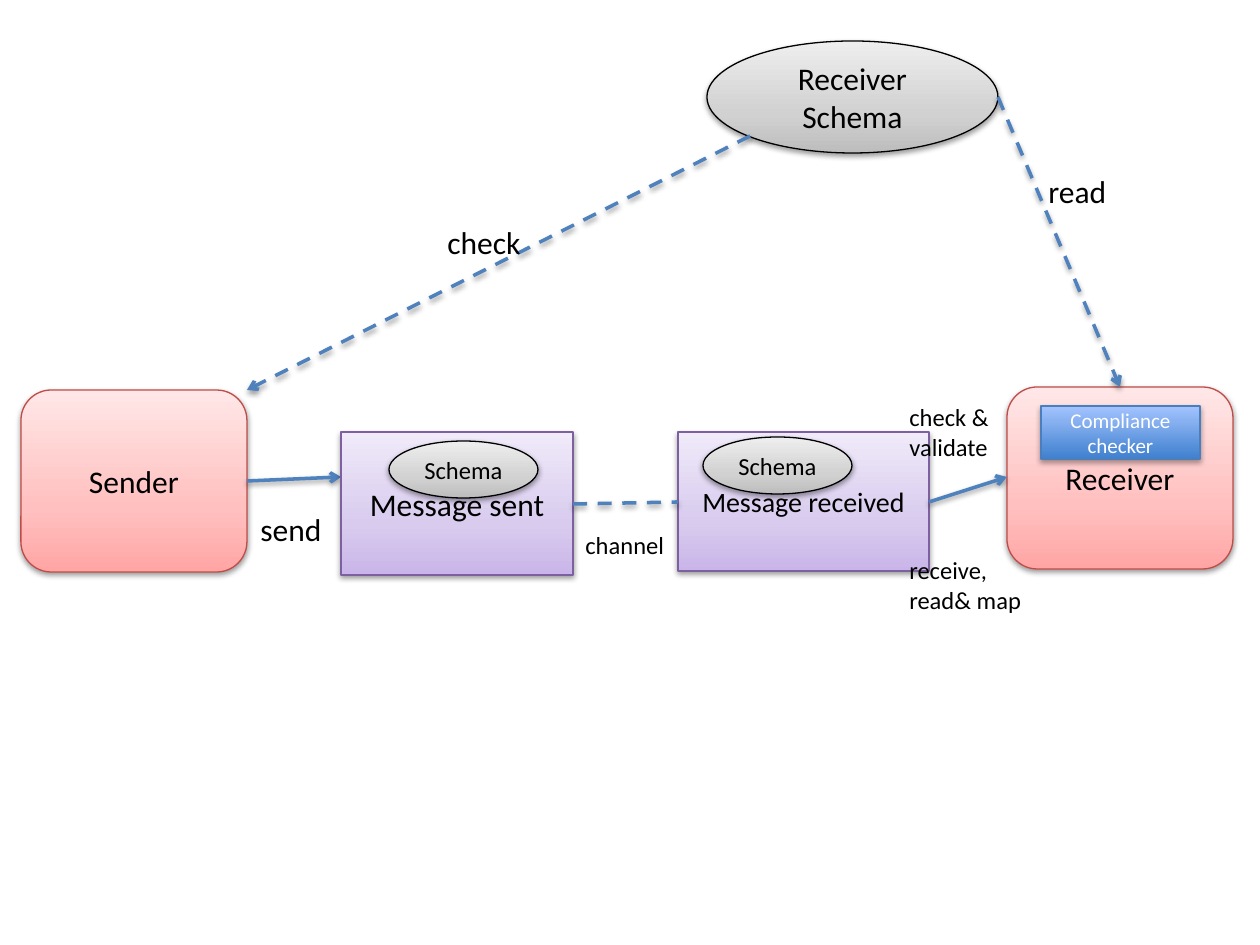
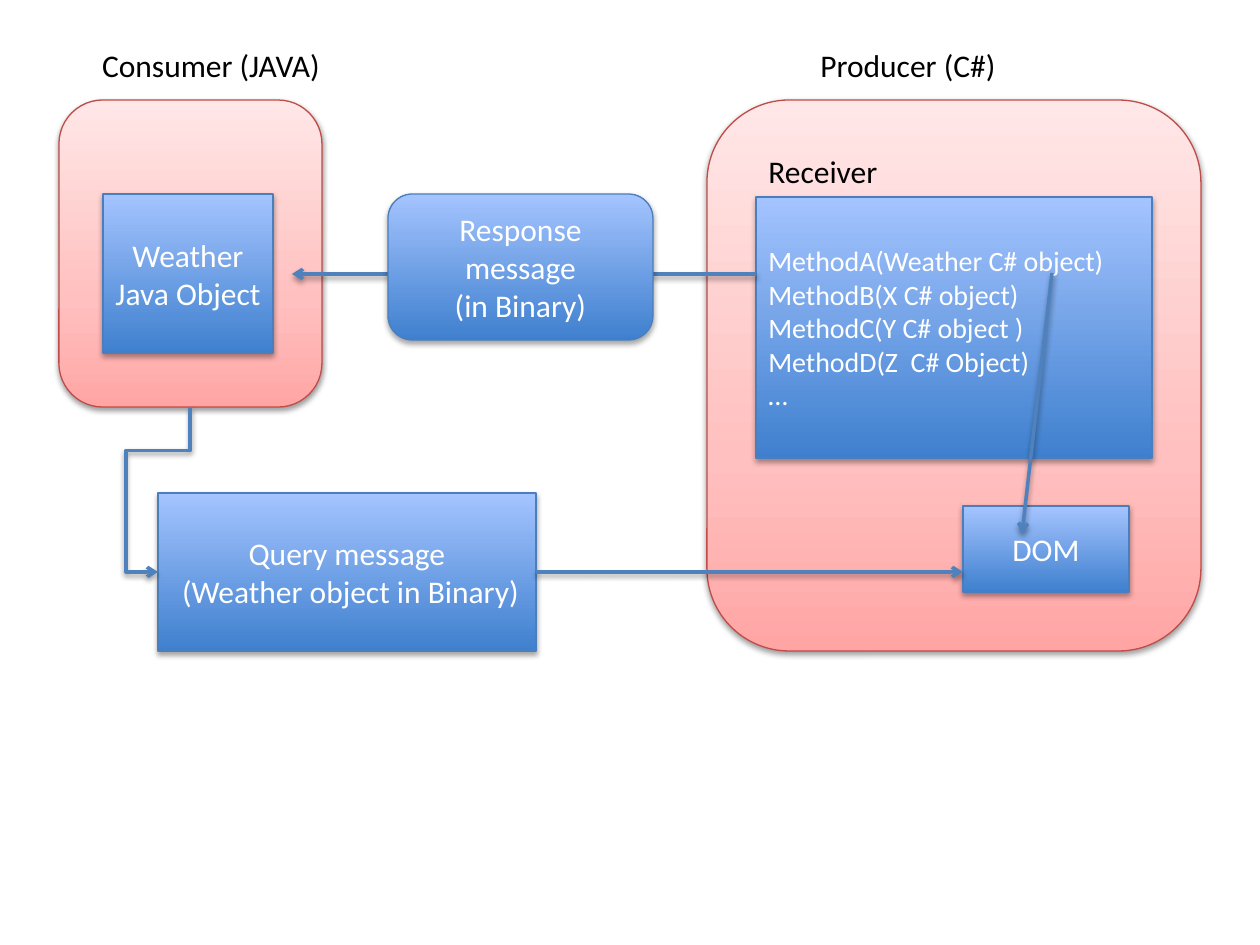
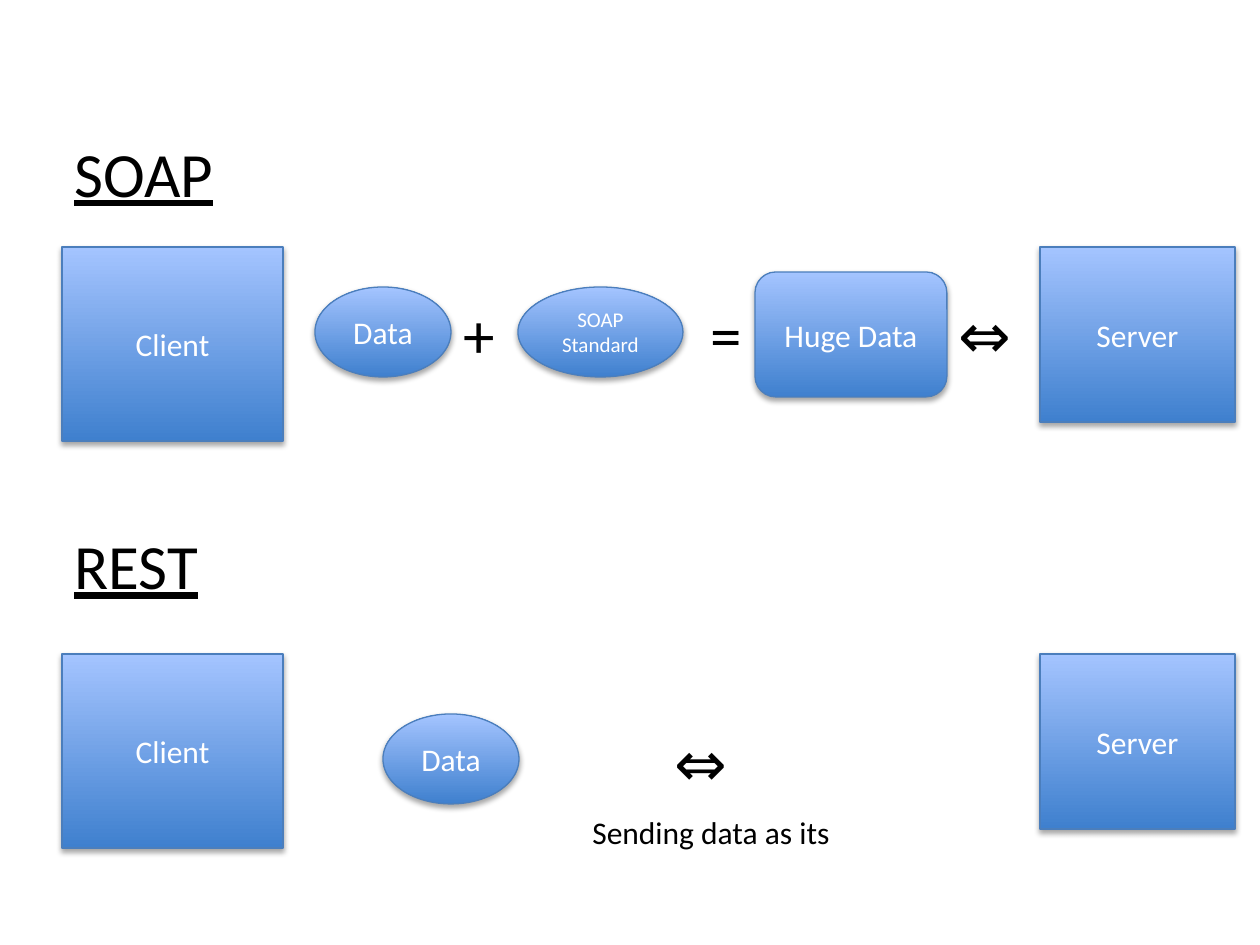
from copy import deepcopy
from dataclasses import dataclass

from lxml.etree import SubElement
from pptx import Presentation
from pptx.dml.color import RGBColor
from pptx.enum.dml import MSO_LINE
from pptx.enum.shapes import MSO_CONNECTOR as Link, MSO_SHAPE as Shape
from pptx.enum.text import MSO_ANCHOR, MSO_AUTO_SIZE, PP_ALIGN
from pptx.oxml.ns import qn
from pptx.util import Emu, Pt

BLACK = RGBColor(0x00, 0x00, 0x00)
WHITE = RGBColor(0xFF, 0xFF, 0xFF)
ARROW_BLUE = RGBColor(0x4F, 0x81, 0xBD)
BLUE_EDGE = RGBColor(0x4B, 0x7E, 0xBC)
BLUE_DARK = RGBColor(0x3F, 0x80, 0xCE)
BLUE_LIGHT = RGBColor(0xA4, 0xC4, 0xFF)
RED_EDGE = RGBColor(0xBF, 0x4C, 0x48)
RED_DARK = RGBColor(0xFF, 0xA6, 0xA5)
RED_MID = RGBColor(0xFF, 0xC0, 0xBF)
RED_LIGHT = RGBColor(0xFF, 0xE7, 0xE7)
PURPLE_EDGE = RGBColor(0x7D, 0x60, 0xA0)
PURPLE_DARK = RGBColor(0xC9, 0xB5, 0xE8)
PURPLE_MID = RGBColor(0xD8, 0xCB, 0xEE)
PURPLE_LIGHT = RGBColor(0xF0, 0xEA, 0xF9)
GRAY_DARK = RGBColor(0xBD, 0xBD, 0xBD)
GRAY_MID = RGBColor(0xD1, 0xD1, 0xD1)
GRAY_LIGHT = RGBColor(0xEE, 0xEE, 0xEE)

FONT = "Calibri"
EMU_PER_PIXEL = 914400 / 126
SOFT_SHADOW = (20000, 38000)
STRONG_SHADOW = (23000, 35000)


@dataclass
class Look:
    """Gradient stops from bottom to top, edge, text colour and shadow."""
    stops: tuple
    edge: RGBColor
    ink: RGBColor = BLACK
    shadow: tuple = SOFT_SHADOW


BLUE = Look(((0, BLUE_DARK), (1, BLUE_LIGHT)), BLUE_EDGE, WHITE, STRONG_SHADOW)
RED = Look(((0, RED_DARK), (0.35, RED_MID), (1, RED_LIGHT)), RED_EDGE)
PURPLE = Look(((0, PURPLE_DARK), (0.35, PURPLE_MID), (1, PURPLE_LIGHT)), PURPLE_EDGE)
GRAY = Look(((0, GRAY_DARK), (0.35, GRAY_MID), (1, GRAY_LIGHT)), BLACK)


def px(pixels):
    """Turn pixels into EMU."""
    return Emu(round(pixels * EMU_PER_PIXEL))


def add_shadow(effects, distance, alpha):
    """Put a shadow that falls downwards into an effect list."""
    shadow = SubElement(effects, qn("a:outerShdw"), blurRad="40000",
                        dist=str(distance), dir="5400000", rotWithShape="0")
    color = SubElement(shadow, qn("a:srgbClr"), val=str(BLACK))
    SubElement(color, qn("a:alpha"), val=str(alpha))


class Diagram:
    """The deck, its style and the current slide."""

    def __init__(self):
        """Start an empty deck."""
        self.deck = Presentation()
        self.deck.slide_width, self.deck.slide_height = px(1260), px(945)
        self.page = None

    def new_page(self):
        """Add a blank slide and make it current."""
        self.page = self.deck.slides.add_slide(self.deck.slide_layouts[6])

    def set_text(self, frame, text, size, color, align, underline=None):
        """Fill a text frame, one paragraph for each line of the text."""
        frame.text = text
        for para in frame.paragraphs:
            para.alignment = align
            font = para.font
            font.name, font.size, font.underline = FONT, Pt(size), underline
            font.color.rgb = color

    def box(self, kind, look, left, top, width, height, text="", size=18,
            align=PP_ALIGN.CENTER):
        """Draw a preset shape with gradient, edge, shadow and text."""
        box = self.page.shapes.add_shape(kind, px(left), px(top), px(width), px(height))
        box.fill.gradient()
        box.fill.gradient_angle = 90
        stop_list = next(box._element.iter(qn("a:gsLst")))
        while len(stop_list) < len(look.stops):
            stop_list.append(deepcopy(stop_list[0]))
        for stop, (position, color) in zip(box.fill.gradient_stops, look.stops):
            stop.position = position
            stop.color.rgb = color
        box.line.color.rgb = look.edge
        box.line.width = Pt(0.75)
        box.shadow.inherit = False
        add_shadow(box._element.spPr.find(qn("a:effectLst")), *look.shadow)
        box.text_frame.vertical_anchor = MSO_ANCHOR.MIDDLE
        self.set_text(box.text_frame, text, size, look.ink, align)

    def label(self, left, top, width, height, text, size=18, wrap=False,
              align=PP_ALIGN.LEFT, underline=None):
        """Place free text."""
        box = self.page.shapes.add_textbox(px(left), px(top), px(width), px(height))
        box.text_frame.word_wrap = wrap
        box.text_frame.auto_size = MSO_AUTO_SIZE.SHAPE_TO_FIT_TEXT
        self.set_text(box.text_frame, text, size, BLACK, align, underline)

    def link(self, start, end, dashed=False, arrow=True, kind=Link.STRAIGHT):
        """Join two points with a line and return it."""
        link = self.page.shapes.add_connector(kind, *map(px, start + end))
        link.line.color.rgb = ARROW_BLUE
        link.line.width = Pt(2)
        if dashed:
            link.line.dash_style = MSO_LINE.DASH
        if arrow:
            outline = link._element.spPr.find(qn("a:ln"))
            SubElement(outline, qn("a:tailEnd"), type="arrow")
        add_shadow(SubElement(link._element.spPr, qn("a:effectLst")), *SOFT_SHADOW)
        return link

    def hook(self, start, end, *bends):
        """Join two points by a bent arrow that leaves downwards."""
        link = self.link(start, end, kind=Link.ELBOW)
        across, down = abs(end[0] - start[0]), abs(end[1] - start[1])
        middle_x, middle_y = (start[0] + end[0]) / 2, (start[1] + end[1]) / 2
        frame = link._element.spPr.find(qn("a:xfrm"))
        frame.attrib.pop("flipH", None)
        frame.set("rot", "5400000")
        link.left, link.top = px(middle_x - down / 2), px(middle_y - across / 2)
        link.width, link.height = px(down), px(across)
        geometry = link._element.spPr.find(qn("a:prstGeom"))
        geometry.set("prst", "bentConnector4")
        guides = geometry.find(qn("a:avLst"))
        if guides is None:
            guides = SubElement(geometry, qn("a:avLst"))
        for number, bend in enumerate(bends, 1):
            SubElement(guides, qn("a:gd"), name=f"adj{number}", fmla=f"val {bend}")


def schema_page(art):
    """Messages from sender to receiver, checked against a schema."""
    art.new_page()
    art.box(Shape.ROUNDED_RECTANGLE, RED, 21, 390, 226, 182, "Sender")
    art.box(Shape.ROUNDED_RECTANGLE, RED, 1007, 387, 226, 182, "Receiver")
    art.link((247, 481), (341, 477))
    art.box(Shape.RECTANGLE, PURPLE, 341, 432, 232, 143, "Message sent")
    art.box(Shape.RECTANGLE, PURPLE, 678, 432, 251, 139, "Message received", 16)
    art.link((573, 504), (678, 502), dashed=True, arrow=False)
    art.link((929, 502), (1007, 477))
    art.label(248, 504, 87, 51, "send")
    art.label(897, 549, 139, 72, "receive,\nread& map", 14)
    art.label(573, 524, 105, 43, "channel", 14)
    art.box(Shape.OVAL, GRAY, 707, 41, 291, 112, "Receiver Schema")
    art.link((750, 136), (247, 390), dashed=True)
    art.link((998, 97), (1120, 387), dashed=True)
    art.label(435, 217, 100, 51, "check")
    art.label(1036, 166, 84, 51, "read")
    for left, top in ((389, 441), (703, 437)):
        art.box(Shape.OVAL, GRAY, left, top, 149, 57, "Schema", 14)
    art.box(Shape.RECTANGLE, BLUE, 1041, 406, 159, 53, "Compliance checker", 12)
    art.label(897, 396, 116, 72, "check & validate", 14, wrap=True)


def weather_page(art):
    """A consumer and a producer that exchange binary messages."""
    methods = ("MethodA(Weather C# object)\nMethodB(X C# object)\n"
               "MethodC(Y C# object )\nMethodD(Z  C# Object)\n…")
    art.new_page()
    art.box(Shape.ROUNDED_RECTANGLE, RED, 59, 100, 263, 307)
    art.box(Shape.RECTANGLE, BLUE, 103, 194, 170, 159, "Weather Java Object")
    art.box(Shape.ROUNDED_RECTANGLE, RED, 707, 100, 494, 551)
    for left, title in ((35, "Consumer (JAVA)"), (732, "Producer (C#)")):
        art.label(left, 40, 352, 51, title, wrap=True, align=PP_ALIGN.CENTER)
    art.box(Shape.RECTANGLE, BLUE, 756, 197, 396, 261, methods, 16, PP_ALIGN.LEFT)
    art.box(Shape.RECTANGLE, BLUE, 158, 493, 378, 158,
            "Query message\n (Weather object in Binary)")
    art.label(756, 146, 159, 51, "Receiver", wrap=True)
    art.box(Shape.RECTANGLE, BLUE, 963, 506, 166, 86, "DOM")
    art.link((1052, 273), (1022, 534))
    art.link((756, 274), (292, 274))
    art.box(Shape.ROUNDED_RECTANGLE, BLUE, 388, 194, 265, 146,
            "Response message\n(in Binary)")
    art.hook((190, 408), (158, 572), 26000, 199600)
    art.link((536, 572), (963, 572))


def soap_rest_page(art):
    """SOAP and REST, one row each."""
    art.new_page()
    rows = (("SOAP", 128, 166, 247, 315, 287), ("REST", 520, 151, 654, 383, 714))
    for title, title_top, title_width, row_top, data_left, data_top in rows:
        art.label(62, title_top, title_width, 89, title, 36, underline=True)
        art.box(Shape.RECTANGLE, BLUE, 62, row_top, 221, 194, "Client")
        art.box(Shape.RECTANGLE, BLUE, 1040, row_top, 195, 175, "Server")
        art.box(Shape.OVAL, BLUE, data_left, data_top, 136, 90, "Data")
    art.box(Shape.OVAL, BLUE, 518, 287, 165, 90, "SOAP Standard", 12)
    art.box(Shape.ROUNDED_RECTANGLE, BLUE, 755, 272, 192, 125, "Huge Data")
    signs = (("+", 451, 289, 57), ("=", 698, 289, 57),
             ("⇔", 946, 289, 93), ("⇔", 662, 717, 93))
    for sign, left, top, width in signs:
        art.label(left, top, width, 89, sign, 36)
    art.label(580, 807, 280, 51, "Sending data as its", wrap=True)


diagram = Diagram()
schema_page(diagram)
weather_page(diagram)
soap_rest_page(diagram)
diagram.deck.save("out.pptx")
